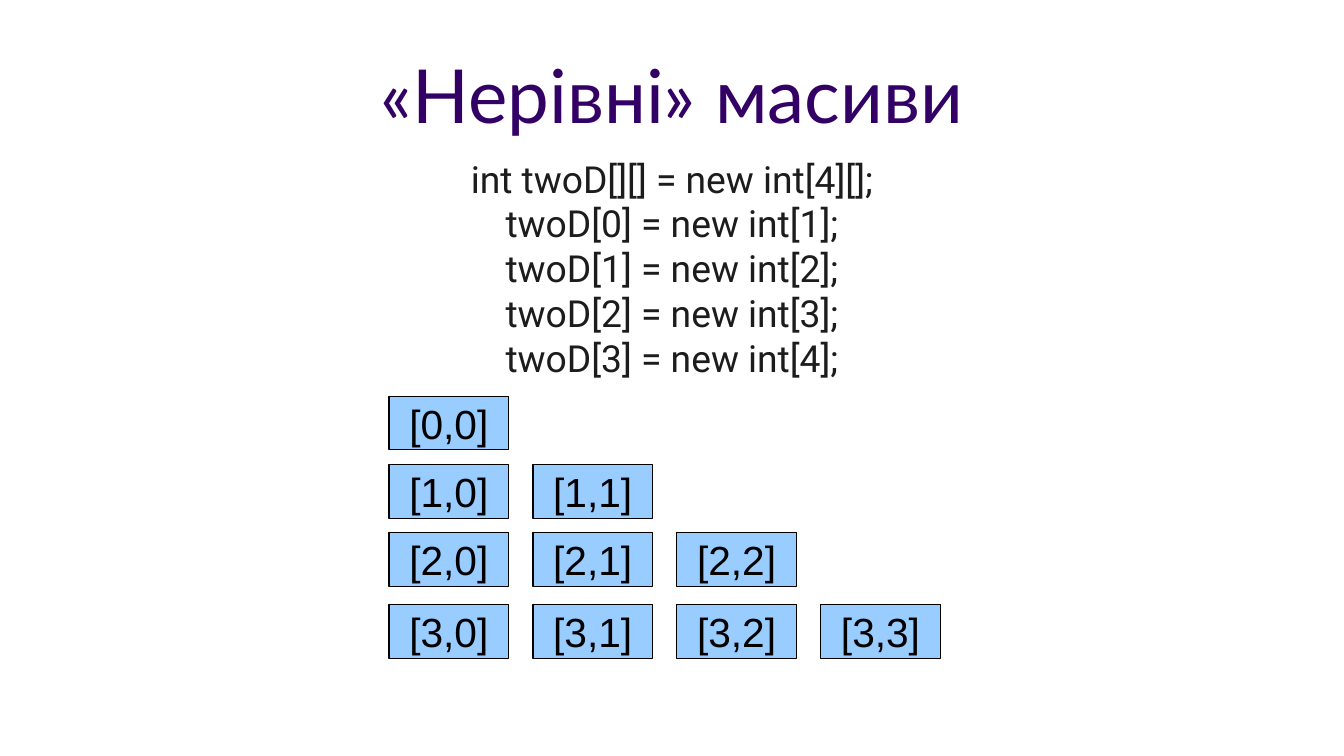
from dataclasses import dataclass

from pptx import Presentation
from pptx.dml.color import RGBColor
from pptx.enum.shapes import MSO_SHAPE
from pptx.enum.text import MSO_ANCHOR, PP_ALIGN
from pptx.slide import Slide
from pptx.text.text import TextFrame
from pptx.util import Inches, Pt

RECT = MSO_SHAPE.RECTANGLE
CENTER = PP_ALIGN.CENTER
MIDDLE, TOP = MSO_ANCHOR.MIDDLE, MSO_ANCHOR.TOP

PURPLE = RGBColor(0x33, 0x00, 0x66)
INK = RGBColor(0x1C, 0x1C, 0x1C)
BLACK = RGBColor(0x00, 0x00, 0x00)
BLUE = RGBColor(0x99, 0xCC, 0xFF)

WIDTH, HEIGHT = 11.02, 6.2
MARGIN = 0.55

# Grid of array cells, in inches
LEFT, PITCH = 3.19, 1.18
ROW_TOPS = (3.25, 3.81, 4.37, 4.96)
CELL_W, CELL_H = 0.98, 0.44


@dataclass(frozen=True)
class Style:
    font: str
    size: int
    color: RGBColor
    anchor: MSO_ANCHOR


@dataclass(frozen=True)
class Block:
    top: float
    height: float
    lines: tuple[str, ...]
    style: Style


TITLE = Style("Lato", 44, PURPLE, MIDDLE)
CODE = Style("Roboto", 22, INK, TOP)
CELL = Style("Arial", 24, BLACK, MIDDLE)

BLOCKS = (
    Block(0.25, 1.04, ("«Нерівні» масиви",), TITLE),
    Block(
        1.28,
        3.76,
        (
            "int twoD[][] = new int[4][];",
            *(f"twoD[{row}] = new int[{row + 1}];" for row in range(len(ROW_TOPS))),
        ),
        CODE,
    ),
)


def write(frame: TextFrame, lines: tuple[str, ...], style: Style) -> None:
    frame.word_wrap = True
    frame.vertical_anchor = style.anchor
    frame.text = "\n".join(lines)
    for line in frame.paragraphs:
        line.alignment = CENTER
        line.font.name = style.font
        line.font.size = Pt(style.size)
        line.font.color.rgb = style.color


def add_block(slide: Slide, block: Block) -> None:
    box = slide.shapes.add_textbox(
        Inches(MARGIN),
        Inches(block.top),
        Inches(WIDTH - 2 * MARGIN),
        Inches(block.height),
    )
    frame = box.text_frame
    frame.margin_left = frame.margin_right = 0
    frame.margin_top = frame.margin_bottom = 0
    write(frame, block.lines, block.style)


def add_cell(slide: Slide, row: int, col: int) -> None:
    cell = slide.shapes.add_shape(
        RECT,
        Inches(LEFT + col * PITCH),
        Inches(ROW_TOPS[row]),
        Inches(CELL_W),
        Inches(CELL_H),
    )
    cell.shadow.inherit = False
    cell.fill.solid()
    cell.fill.fore_color.rgb = BLUE
    cell.line.color.rgb = BLACK
    cell.line.width = Pt(0.75)
    write(cell.text_frame, (f"[{row},{col}]",), CELL)


def main() -> None:
    deck = Presentation()
    deck.slide_width, deck.slide_height = Inches(WIDTH), Inches(HEIGHT)
    slide = deck.slides.add_slide(deck.slide_layouts[6])
    for block in BLOCKS:
        add_block(slide, block)
    for row in range(len(ROW_TOPS)):
        for col in range(row + 1):
            add_cell(slide, row, col)
    deck.save("out.pptx")


if __name__ == "__main__":
    main()
